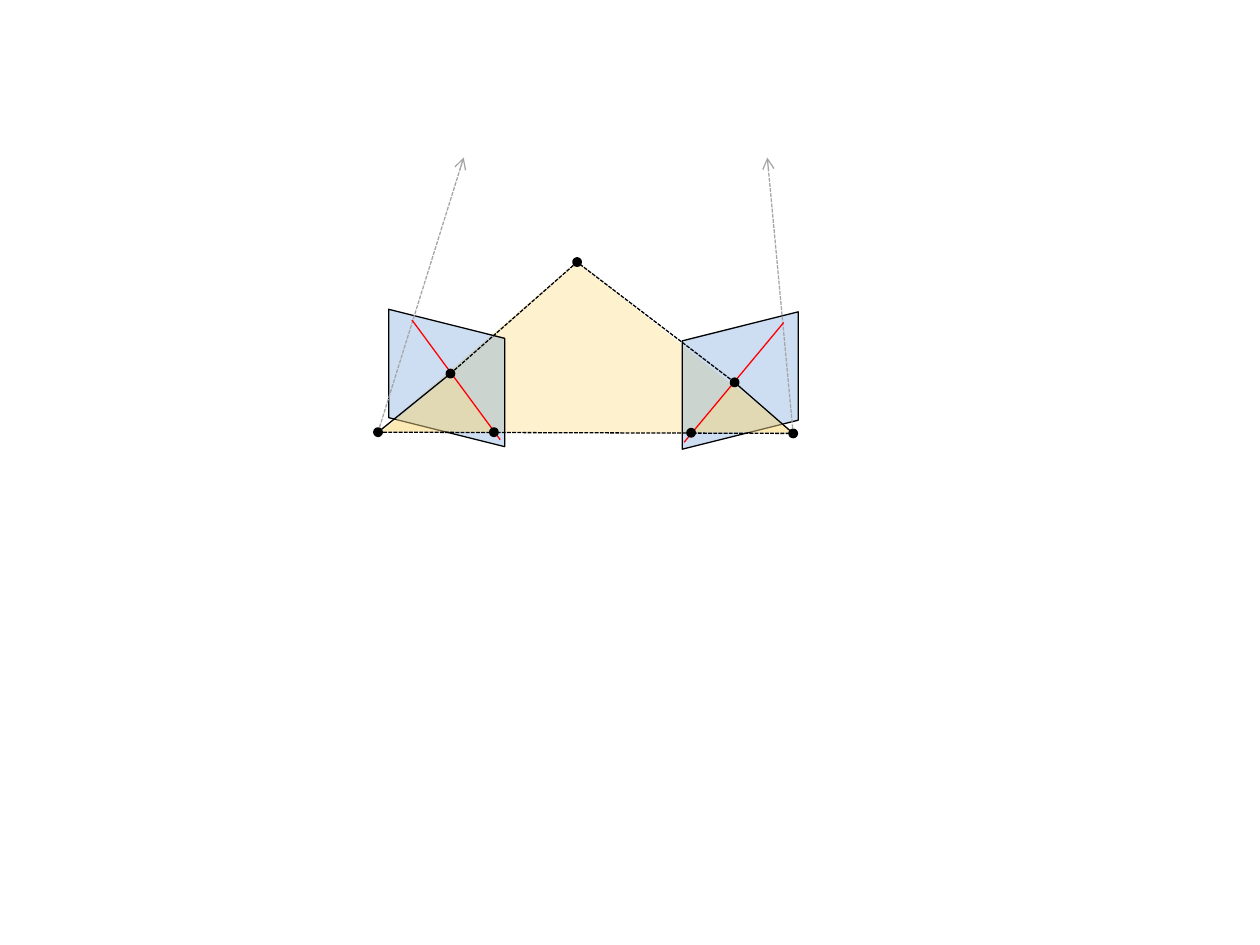
from dataclasses import dataclass

from lxml.etree import SubElement
from pptx import Presentation
from pptx.dml.color import RGBColor
from pptx.enum.dml import MSO_LINE_DASH_STYLE as Dash
from pptx.enum.shapes import MSO_CONNECTOR_TYPE as Connector, MSO_SHAPE as Shape
from pptx.oxml.ns import qn
from pptx.util import Inches, Pt

BLACK = RGBColor(0x00, 0x00, 0x00)
RED = RGBColor(0xFF, 0x00, 0x00)
GRAY = RGBColor(0xA6, 0xA6, 0xA6)
BLUE = RGBColor(0x55, 0x8E, 0xD5)
YELLOW = RGBColor(0xFB, 0xE0, 0x93)

SLIDE_WIDTH, SLIDE_HEIGHT = Inches(10), Inches(7.5)
COLUMNS = 100
CELL = SLIDE_WIDTH / COLUMNS  # square grid of 100 columns by 75 rows
DOT_SIZE = 0.5
PLANE_ALPHA, TRIANGLE_ALPHA = 29, 45


@dataclass
class Box:
    """A region in grid cells; its parts are placed from its top left corner."""
    left: float
    top: float
    width: float
    height: float

    def at(self, point):
        return self.left + point[0], self.top + point[1]


@dataclass
class View:
    """One camera's image plane, with its points relative to the plane's box."""
    box: Box
    camera: tuple
    image_point: tuple
    epipole: tuple
    epipolar_line: tuple
    gaze: tuple
    patch: tuple
    mirrored: bool = False


SCENE = Box(30, 20.8, 33, 13.6)
APEX, LEFT_CAMERA, RIGHT_CAMERA = (15.8, 0), (0, 13.5), (33, 13.6)
LEFT_VIEW = View(
    Box(30.85, 24.55, 9.2, 10.9), camera=(-0.85, 9.75), image_point=(4.9, 5.1),
    epipole=(8.35, 9.75), epipolar_line=((8.85, 10.35), (1.85, 0.85)),
    gaze=(5.95, -12.05), patch=((4.95, 5.15), (-0.45, 9.65), (8.35, 9.75)))
RIGHT_VIEW = View(
    Box(54.15, 24.75, 9.2, 10.9), camera=(8.8, 9.65), image_point=(4.15, 5.6),
    epipole=(0.7, 9.6), epipolar_line=((0.15, 10.35), (8.05, 0.85)),
    gaze=(6.75, -12.25), patch=((4.05, 5.65), (0.75, 9.55), (8.85, 9.55)),
    mirrored=True)


def emu(cells):
    return round(cells * CELL)


def fill_shape(shape, color, alpha=100):
    shape.shadow.inherit = False
    shape.fill.solid()
    shape.fill.fore_color.rgb = color
    if alpha < 100:
        color_element = shape.fill._xPr.find(qn("a:solidFill"))[0]
        SubElement(color_element, qn("a:alpha"), val=str(alpha * 1000))


def outline(shape, color, width=0.75):
    shape.line.color.rgb = color
    shape.line.width = Pt(width)


def add_line(slide, start, end, color=BLACK, dashed=False, arrow=False):
    line = slide.shapes.add_connector(
        Connector.STRAIGHT, *(emu(value) for value in (*start, *end)))
    outline(line, color)
    if dashed:
        line.line.dash_style = Dash.SQUARE_DOT
    if arrow:
        SubElement(line.line._get_or_add_ln(), qn("a:tailEnd"), type="arrow")
    SubElement(line._element.spPr, qn("a:effectLst"))


def add_dot(slide, center):
    left, top = (emu(value - DOT_SIZE / 2) for value in center)
    dot = slide.shapes.add_shape(
        Shape.OVAL, left, top, emu(DOT_SIZE), emu(DOT_SIZE))
    fill_shape(dot, BLACK)
    outline(dot, BLACK, width=2)


def add_triangle(slide, corners):
    first, *others = [(emu(x), emu(y)) for x, y in corners]
    builder = slide.shapes.build_freeform(*first)
    builder.add_line_segments(others, close=True)
    triangle = builder.convert_to_shape()
    fill_shape(triangle, YELLOW, TRIANGLE_ALPHA)
    triangle.line.fill.background()


def add_image_plane(slide, box, mirrored):
    """Stand a parallelogram on its side so that it fills the box."""
    left = box.left + (box.width - box.height) / 2
    top = box.top + (box.height - box.width) / 2
    plane = slide.shapes.add_shape(
        Shape.PARALLELOGRAM, emu(left), emu(top), emu(box.height), emu(box.width))
    plane.rotation = 270
    if mirrored:
        plane._element.spPr.find(qn("a:xfrm")).set("flipV", "1")
    fill_shape(plane, BLUE, PLANE_ALPHA)
    outline(plane, BLACK)


def draw_view(slide, view, apex):
    at = view.box.at
    camera, image_point = at(view.camera), at(view.image_point)
    add_image_plane(slide, view.box, view.mirrored)
    add_line(slide, image_point, apex, dashed=True)
    add_line(slide, camera, at(view.gaze), GRAY, dashed=True, arrow=True)
    add_triangle(slide, [at(corner) for corner in view.patch])
    add_line(slide, camera, image_point)
    add_line(slide, *(at(end) for end in view.epipolar_line), color=RED)
    for point in (camera, image_point, at(view.epipole)):
        add_dot(slide, point)


def draw_scene(slide, box):
    apex, left, right = (box.at(p) for p in (APEX, LEFT_CAMERA, RIGHT_CAMERA))
    add_triangle(slide, (apex, left, right))
    for view in (LEFT_VIEW, RIGHT_VIEW):
        draw_view(slide, view, apex)
    add_line(slide, left, right, dashed=True)
    add_dot(slide, apex)


def main():
    presentation = Presentation()
    presentation.slide_width = SLIDE_WIDTH
    presentation.slide_height = SLIDE_HEIGHT
    slide = presentation.slides.add_slide(presentation.slide_layouts[6])
    draw_scene(slide, SCENE)
    presentation.save("out.pptx")


if __name__ == "__main__":
    main()
